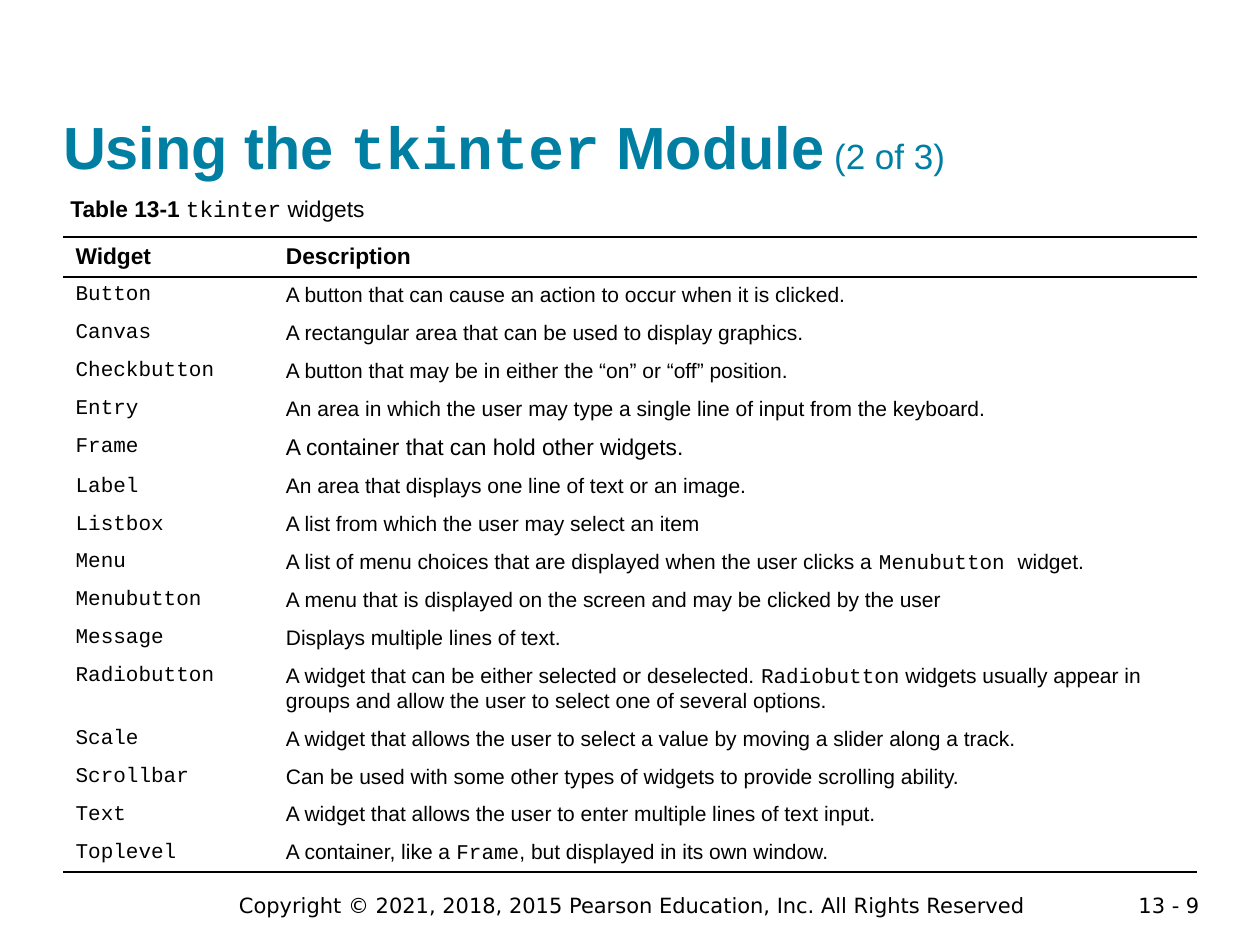
from lxml import etree
from pptx import Presentation
from pptx.dml.color import RGBColor
from pptx.enum.text import MSO_ANCHOR, MSO_AUTO_SIZE, PP_ALIGN
from pptx.oxml.ns import qn
from pptx.util import Cm, Pt

LEFT, CENTER, RIGHT = PP_ALIGN.LEFT, PP_ALIGN.CENTER, PP_ALIGN.RIGHT
BOTTOM = MSO_ANCHOR.BOTTOM
NO_AUTOFIT = MSO_AUTO_SIZE.NONE

THEME = {
    "title": RGBColor(0x00, 0x7F, 0xA3),
    "text": RGBColor(0x00, 0x00, 0x00),
    "fill": RGBColor(0xFF, 0xFF, 0xFF),
    "rule": "000000",
    "body_font": "Arial",
    "code_font": "Courier New",
    "footer_font": "DejaVu Sans",
    "title_size": Pt(34),
    "part_size": Pt(20),
    "large_size": Pt(13),
    "small_size": Pt(12),
}

# Text between backticks is set in the code font.
TITLE = "Using the `tkinter` Module"
TITLE_PART = " (2 of 3)"
CAPTION_LABEL = "Table 13-1 "
CAPTION = "`tkinter` widgets"
HEADER = ("Widget", "Description")
WIDGETS = [
    ("Button", "A button that can cause an action to occur when it is clicked."),
    ("Canvas", "A rectangular area that can be used to display graphics."),
    ("Checkbutton", "A button that may be in either the “on” or “off” position."),
    ("Entry", "An area in which the user may type a single line of input from the keyboard."),
    ("Frame", "A container that can hold other widgets."),
    ("Label", "An area that displays one line of text or an image."),
    ("Listbox", "A list from which the user may select an item"),
    ("Menu", "A list of menu choices that are displayed when the user clicks a `Menubutton `widget."),
    ("Menubutton", "A menu that is displayed on the screen and may be clicked by the user"),
    ("Message", "Displays multiple lines of text."),
    ("Radiobutton", "A widget that can be either selected or deselected. `Radiobutton` widgets "
                    "usually appear in groups and allow the user to select one of several options."),
    ("Scale", "A widget that allows the user to select a value by moving a slider along a track."),
    ("Scrollbar", "Can be used with some other types of widgets to provide scrolling ability."),
    ("Text", "A widget that allows the user to enter multiple lines of text input."),
    ("Toplevel", "A container, like a `Frame`, but displayed in its own window."),
]
LARGE_DESCRIPTION = "Frame"
TWO_LINE_DESCRIPTION = "Radiobutton"
COPYRIGHT = "Copyright © 2021, 2018, 2015 Pearson Education, Inc. All Rights Reserved"
PAGE = "13 - 9"

MARGIN, CONTENT_WIDTH = Cm(1.27), Cm(22.86)
TABLE_TOP = Cm(4.78)
COLUMN_WIDTHS = (Cm(4.24), Cm(18.62))
ROW_HEIGHT, LARGE_ROW_HEIGHT, TWO_LINE_ROW_HEIGHT = Cm(0.76), Cm(0.8), Cm(1.27)
FOOTER_TOP = Cm(17.86)


def add_runs(paragraph, text, size, color=THEME["text"], bold=False):
    for index, part in enumerate(text.split("`")):
        if part:
            run = paragraph.add_run()
            run.text = part
            run.font.name = THEME["code_font" if index % 2 else "body_font"]
            run.font.size = size
            run.font.bold = bold
            run.font.color.rgb = color


def set_borders(cell, top, bottom):
    properties = cell._tc.get_or_add_tcPr()
    edges = (("a:lnL", False), ("a:lnR", False), ("a:lnT", top), ("a:lnB", bottom))
    for index, (tag, visible) in enumerate(edges):
        line = etree.Element(qn(tag), w=str(Pt(1)))
        if visible:
            fill = etree.SubElement(line, qn("a:solidFill"))
            etree.SubElement(fill, qn("a:srgbClr"), val=THEME["rule"])
        else:
            etree.SubElement(line, qn("a:noFill"))
        properties.insert(index, line)


def add_title(slide):
    title = slide.shapes.title
    title.left, title.top, title.width, title.height = MARGIN, Cm(0.61), CONTENT_WIDTH, Cm(3.05)
    frame = title.text_frame
    frame.auto_size = NO_AUTOFIT
    frame.vertical_anchor = BOTTOM
    frame.margin_left = frame.margin_right = frame.margin_top = frame.margin_bottom = 0
    paragraph = frame.paragraphs[0]
    paragraph.alignment = LEFT
    add_runs(paragraph, TITLE, THEME["title_size"], THEME["title"], True)
    add_runs(paragraph, TITLE_PART, THEME["part_size"], THEME["title"])


def add_caption(slide):
    box = slide.shapes.add_textbox(Cm(1.17), Cm(3.81), Cm(6.53), Cm(0.81))
    paragraph = box.text_frame.paragraphs[0]
    add_runs(paragraph, CAPTION_LABEL, THEME["large_size"], bold=True)
    add_runs(paragraph, CAPTION, THEME["large_size"])


def add_widget_table(slide):
    rows = [HEADER] + [(f"`{name}`", description) for name, description in WIDGETS]
    names = [None] + [name for name, _ in WIDGETS]
    heights = [
        LARGE_ROW_HEIGHT if name in (None, LARGE_DESCRIPTION)
        else TWO_LINE_ROW_HEIGHT if name == TWO_LINE_DESCRIPTION
        else ROW_HEIGHT
        for name in names
    ]
    table = slide.shapes.add_table(
        len(rows), len(HEADER), MARGIN, TABLE_TOP, CONTENT_WIDTH, sum(heights)
    ).table
    table.first_row = table.horz_banding = False
    for column, width in zip(table.columns, COLUMN_WIDTHS):
        column.width = width
    for row_index, texts in enumerate(rows):
        table.rows[row_index].height = heights[row_index]
        is_header = row_index == 0
        for column_index, text in enumerate(texts):
            cell = table.cell(row_index, column_index)
            cell.fill.solid()
            cell.fill.fore_color.rgb = THEME["fill"]
            set_borders(cell, row_index < 2, is_header or row_index == len(rows) - 1)
            is_large = is_header or (names[row_index] == LARGE_DESCRIPTION and column_index == 1)
            size = THEME["large_size" if is_large else "small_size"]
            add_runs(cell.text_frame.paragraphs[0], text, size, bold=is_header)


def add_footer(slide, text, left, width, height, alignment):
    frame = slide.shapes.add_textbox(left, FOOTER_TOP, width, height).text_frame
    frame.word_wrap = True
    paragraph = frame.paragraphs[0]
    paragraph.text = text
    paragraph.alignment = alignment
    paragraph.font.name = THEME["footer_font"]
    paragraph.font.size = THEME["small_size"]
    paragraph.font.color.rgb = THEME["text"]


def main():
    presentation = Presentation()
    presentation.slide_width, presentation.slide_height = Cm(25.4), Cm(19.05)
    slide = presentation.slides.add_slide(presentation.slide_layouts.get_by_name("Title Only"))
    add_title(slide)
    add_caption(slide)
    add_widget_table(slide)
    add_footer(slide, COPYRIGHT, Cm(4.17), Cm(17.15), Cm(0.76), CENTER)
    add_footer(slide, PAGE, Cm(21.89), Cm(2.54), Cm(0.56), RIGHT)
    presentation.save("out.pptx")


if __name__ == "__main__":
    main()
